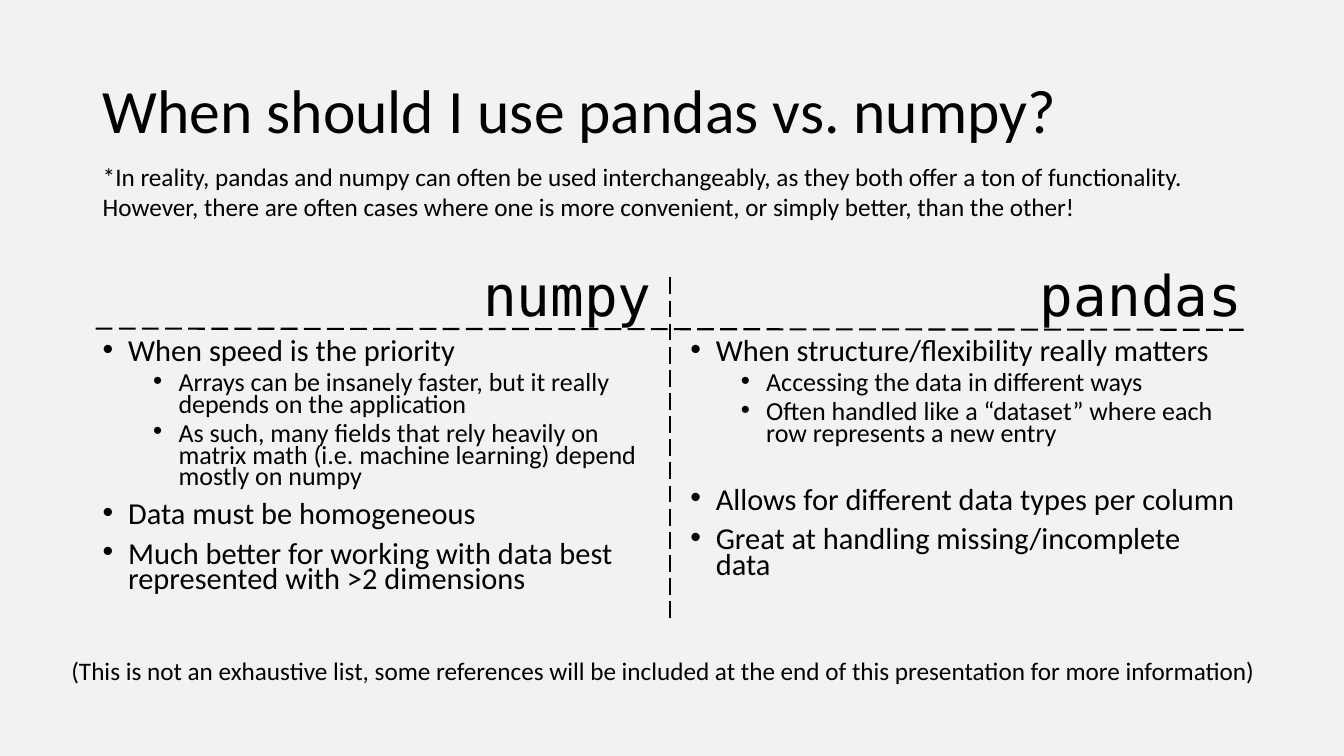
from lxml import etree
from pptx import Presentation
from pptx import util as u
from pptx.dml.color import RGBColor
from pptx.enum import dml, shapes, text
from pptx.oxml.ns import qn

BLACK, PALE_GREY = "000000", "F2F2F2"
SANS, MONO = "Calibri", "DejaVu Sans Mono"
HEADING_HEIGHT, LIST_OFFSET = 2.29, 2.36
# Per level: font size, space before, left margin in cm
LEVELS = [(21.7, 10, 0.64), (18.6, 5, 1.91)]
BULLET_HANG = 0.64
SECTION_GAP = 31

NUMPY_POINTS = [
    (0, "When speed is the priority"),
    (1, "Arrays can be insanely faster, but it really depends on the application"),
    (1, "As such, many fields that rely heavily on matrix math (i.e. machine learning) "
        "depend mostly on numpy"),
    (0, "Data must be homogeneous"),
    (0, "Much better for working with data best represented with >2 dimensions"),
]
PANDAS_POINTS = [
    (0, "When structure/flexibility really matters"),
    (1, "Accessing the data in different ways"),
    (1, "Often handled like a “dataset” where each row represents a new entry"),
    (0, "Allows for different data types per column", SECTION_GAP),
    (0, "Great at handling missing/incomplete data"),
]


def color(hex_string):
    return RGBColor.from_string(hex_string)


def format_runs(paragraph, size, font):
    for run in paragraph.runs:
        run.font.size = u.Pt(size)
        run.font.name = font
        run.font.color.rgb = color(BLACK)


def add_text_frame(slide, box, anchor=text.MSO_ANCHOR.TOP):
    shape = slide.shapes.add_textbox(*(u.Cm(length) for length in box))
    frame = shape.text_frame
    frame.word_wrap = True
    frame.vertical_anchor = anchor
    return frame


def add_line_of_text(slide, box, words, size, font=SANS, spacing=None,
                     anchor=text.MSO_ANCHOR.TOP, align=text.PP_ALIGN.LEFT):
    """Place a single paragraph in the box."""
    frame = add_text_frame(slide, box, anchor)
    frame.text = words
    paragraph = frame.paragraphs[0]
    paragraph.alignment = align
    paragraph.line_spacing = spacing
    format_runs(paragraph, size, font)


def add_bullet(paragraph, margin):
    properties = paragraph._p.get_or_add_pPr()
    properties.set("marL", str(u.Cm(margin)))
    properties.set("indent", str(-u.Cm(BULLET_HANG)))
    bullet_font = etree.SubElement(properties, qn("a:buFont"))
    bullet_font.set("typeface", "Arial")
    etree.SubElement(properties, qn("a:buChar")).set("char", "•")


def add_bullet_list(slide, box, points):
    frame = add_text_frame(slide, box)
    for index, (level, words, *gap) in enumerate(points):
        paragraph = frame.add_paragraph() if index else frame.paragraphs[0]
        size, space_before, margin = LEVELS[level]
        paragraph.text = words
        paragraph.level = level
        paragraph.line_spacing = 0.7
        paragraph.space_before = u.Pt(gap[0] if gap else space_before)
        add_bullet(paragraph, margin)
        format_runs(paragraph, size, SANS)


def add_column(slide, box, heading, points):
    """Place a right-aligned heading over its bullet list."""
    left, top, width, height = box
    add_line_of_text(slide, (left, top, width, HEADING_HEIGHT), heading, 40, MONO,
                     0.9, text.MSO_ANCHOR.BOTTOM, text.PP_ALIGN.RIGHT)
    list_box = (left, top + LIST_OFFSET, width, height - LIST_OFFSET)
    add_bullet_list(slide, list_box, points)


def add_dashed_line(slide, *ends):
    line = slide.shapes.add_connector(shapes.MSO_CONNECTOR.STRAIGHT,
                                      *(u.Cm(length) for length in ends))
    line.line.color.rgb = color(BLACK)
    line.line.width = u.Pt(1.5)
    line.line.dash_style = dml.MSO_LINE.LONG_DASH
    etree.SubElement(line._element.spPr, qn("a:effectLst"))


def build_comparison_slide(presentation):
    slide = presentation.slides.add_slide(presentation.slide_layouts[6])
    slide.background.fill.solid()
    slide.background.fill.fore_color.rgb = color(PALE_GREY)

    add_line_of_text(slide, (2.34, 1.02, 29.21, 3.68),
                     "When should I use pandas vs. numpy?", 44,
                     spacing=0.9, anchor=text.MSO_ANCHOR.MIDDLE)
    add_column(slide, (2.34, 6.12, 14.33, 9.4), "numpy", NUMPY_POINTS)
    add_column(slide, (17.15, 6.12, 14.4, 9.5), "pandas", PANDAS_POINTS)
    add_line_of_text(slide, (2.34, 3.94, 28.17, 1.8),
                     "*In reality, pandas and numpy can often be used interchangeably, "
                     "as they both offer a ton of functionality. However, there are often "
                     "cases where one is more convenient, or simply better, than the other!",
                     18)
    add_dashed_line(slide, 16.89, 6.99, 16.89, 15.62)
    add_line_of_text(slide, (1.55, 16.38, 30.68, 1.8),
                     "(This is not an exhaustive list, some references will be included "
                     "at the end of this presentation for more information)", 18)
    add_dashed_line(slide, 2.41, 8.28, 31.34, 8.31)


def main():
    presentation = Presentation()
    presentation.slide_width = u.Cm(33.87)
    presentation.slide_height = u.Cm(19.05)
    build_comparison_slide(presentation)
    presentation.save("out.pptx")


if __name__ == "__main__":
    main()
